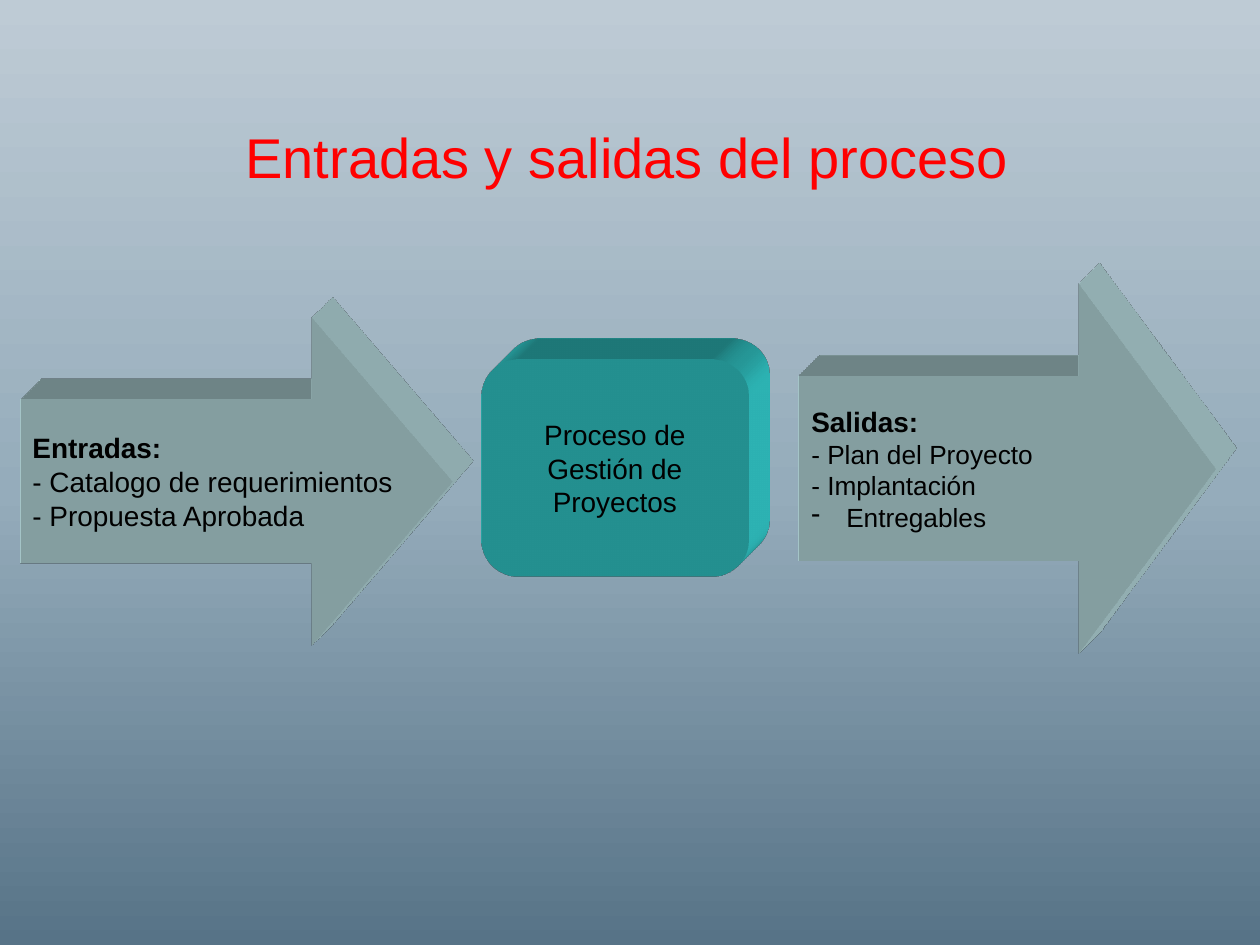
from lxml import etree
from pptx import Presentation
from pptx.dml.color import RGBColor
from pptx.enum.shapes import MSO_SHAPE
from pptx.enum.text import MSO_ANCHOR, MSO_AUTO_SIZE, PP_ALIGN
from pptx.oxml import parse_xml
from pptx.oxml.ns import nsdecls, qn
from pptx.util import Inches, Pt

ARROW, ROUNDED = MSO_SHAPE.RIGHT_ARROW, MSO_SHAPE.ROUNDED_RECTANGLE
LEFT, CENTER = PP_ALIGN.LEFT, PP_ALIGN.CENTER
FONT = "Arial"
COLORS = {"title": "FF0000", "text": "000000", "arrow": "BBE0E3", "process": "33CCCC"}
BACKGROUND = [(0, "577387"), (48, "95ACBB"), (100, "BECBD5")]  # bottom to top
BULLET_INDENT = 0.22

TITLE = ("Entradas y salidas del proceso", 32, False, False)
TITLE_BOX = (1.85, 0.92, 6.8, 0.64)

# Each line: text, size, bold, bulleted
BLOCKS = [
    {"kind": ARROW, "box": (0.16, 2.52, 3.43, 2.6), "adjust": (0.5, 0.43),
     "fill": "arrow", "align": LEFT, "wrap": False,
     "lines": [("Entradas:", 16, True, False),
               ("- Catalogo de requerimientos", 16, False, False),
               ("- Propuesta Aprobada", 16, False, False)]},
    {"kind": ROUNDED, "box": (3.82, 2.85, 2.12, 1.73), "adjust": (0.17,),
     "fill": "process", "align": CENTER, "wrap": True,
     "lines": [("Proceso de Gestión de Proyectos", 16, False, False)]},
    {"kind": ARROW, "box": (6.34, 2.25, 3.31, 2.94), "adjust": (0.5, 0.37),
     "fill": "arrow", "align": LEFT, "wrap": False,
     "lines": [("Salidas:", 16, True, False),
               ("- Plan del Proyecto", 15, False, False),
               ("- Implantación", 15, False, False),
               (" Entregables", 15, False, True)]},
]


def paint_background(slide):
    stops = "".join(f'<a:gs pos="{share * 1000}"><a:srgbClr val="{color}"/></a:gs>'
                    for share, color in BACKGROUND)
    background = parse_xml(
        f'<p:bg {nsdecls("p", "a")}><p:bgPr><a:gradFill rotWithShape="0">'
        f'<a:gsLst>{stops}</a:gsLst><a:lin ang="16200000" scaled="1"/></a:gradFill>'
        '<a:effectLst/></p:bgPr></p:bg>')
    slide.element.cSld.insert(0, background)


def extrude(shape, color):
    """Give the shape depth towards the upper right."""
    properties = shape.element.spPr
    properties.append(parse_xml(
        f'<a:scene3d {nsdecls("a")}><a:camera prst="legacyObliqueTopRight"/>'
        '<a:lightRig rig="legacyFlat3" dir="b"/></a:scene3d>'))
    properties.append(parse_xml(
        f'<a:sp3d {nsdecls("a")} extrusionH="430200" prstMaterial="legacyMatte">'
        '<a:bevelT w="13500" h="13500" prst="angle"/>'
        '<a:bevelB w="13500" h="13500" prst="angle"/>'
        f'<a:extrusionClr><a:srgbClr val="{color}"/></a:extrusionClr></a:sp3d>'))


def add_bullet(paragraph):
    properties = paragraph._p.get_or_add_pPr()
    properties.set("marL", str(Inches(BULLET_INDENT)))
    properties.set("indent", str(-Inches(BULLET_INDENT)))
    etree.SubElement(properties, qn("a:buChar"), char="-")


def write_lines(frame, lines, color, align=LEFT):
    for index, (text, size, bold, bulleted) in enumerate(lines):
        paragraph = frame.add_paragraph() if index else frame.paragraphs[0]
        paragraph.alignment = align
        if bulleted:
            add_bullet(paragraph)
        run = paragraph.add_run()
        run.text = text
        run.font.name, run.font.size, run.font.bold = FONT, Pt(size), bold
        run.font.color.rgb = RGBColor.from_string(COLORS[color])


def add_block(slide, block):
    shape = slide.shapes.add_shape(block["kind"], *map(Inches, block["box"]))
    for index, value in enumerate(block["adjust"]):
        shape.adjustments[index] = value
    shape.fill.solid()
    shape.fill.fore_color.rgb = RGBColor.from_string(COLORS[block["fill"]])
    shape.line.fill.background()
    shape.shadow.inherit = False
    extrude(shape, COLORS[block["fill"]])
    frame = shape.text_frame
    frame.word_wrap = block["wrap"]
    frame.vertical_anchor = MSO_ANCHOR.MIDDLE
    write_lines(frame, block["lines"], "text", block["align"])


def main():
    presentation = Presentation()
    presentation.slide_width, presentation.slide_height = Inches(10), Inches(7.5)
    slide = presentation.slides.add_slide(presentation.slide_layouts[6])
    paint_background(slide)
    title = slide.shapes.add_textbox(*map(Inches, TITLE_BOX)).text_frame
    title.word_wrap = True
    title.auto_size = MSO_AUTO_SIZE.SHAPE_TO_FIT_TEXT
    write_lines(title, [TITLE], "title")
    for block in BLOCKS:
        add_block(slide, block)
    presentation.save("out.pptx")


if __name__ == "__main__":
    main()
